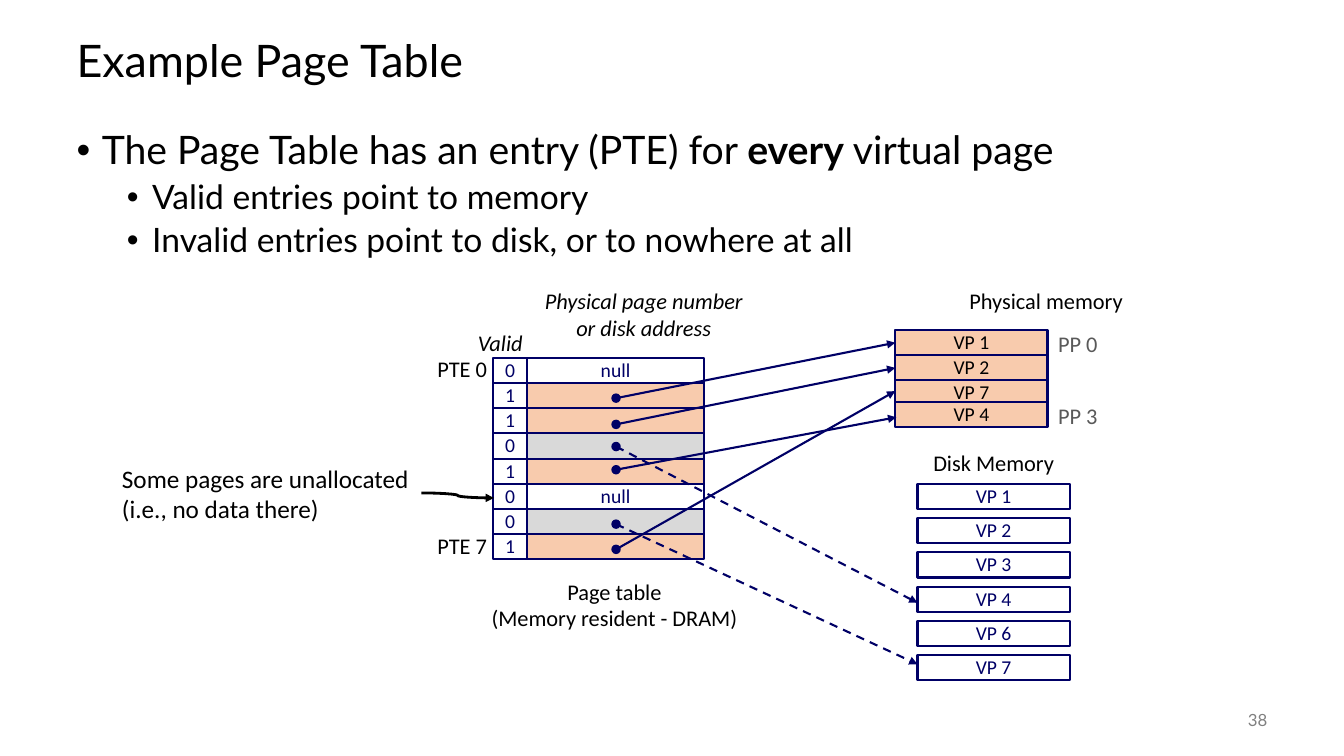
import pptx
import pptx.util
import pptx.dml.color
import pptx.enum.dml
import pptx.enum.shapes
import pptx.enum.text
import pptx.oxml
import pptx.oxml.ns
from dataclasses import dataclass

PX = 9144  # one px is a hundredth of an inch
ALIGN = pptx.enum.text.PP_ALIGN
SHAPE = pptx.enum.shapes.MSO_SHAPE
LINK = pptx.enum.shapes.MSO_CONNECTOR


@dataclass(frozen=True)
class Theme:
    navy: str = "000066"
    black: str = "000000"
    white: str = "FFFFFF"
    peach: str = "F8CBAD"
    silver: str = "D9D9D9"
    dim: str = "595959"
    gray: str = "808080"
    head: str = "Lato"
    text: str = "Calibri"
    title: int = 32
    main: int = 28
    sub: int = 24
    note: int = 18
    label: int = 16
    cell: int = 14
    page: int = 12


THEME = Theme()


def color(code):
    return pptx.dml.color.RGBColor.from_string(code)


def add_xml(parent, tag, **attrs):
    node = pptx.oxml.parse_xml(f"<a:{tag} {pptx.oxml.ns.nsdecls('a')}/>")
    for key, value in attrs.items():
        node.set(key, str(value))
    parent.append(node)


def style(para, size, tint, face, italic=False):
    for run in para.runs:
        run.font.size = pptx.util.Pt(size)
        run.font.name = face
        run.font.color.rgb = color(tint)
        run.font.italic = italic


def setup(frame):
    frame.word_wrap = True
    frame.margin_left = frame.margin_right = 0
    frame.margin_top = frame.margin_bottom = 0
    frame.vertical_anchor = pptx.enum.text.MSO_ANCHOR.MIDDLE


def write(shape, text, size, tint=THEME.black, align=ALIGN.CENTER,
          face=THEME.text, italic=False, space=0.98):
    setup(shape.text_frame)
    para = shape.text_frame.paragraphs[0]
    para.text = text
    para.alignment = align
    para.line_spacing = space
    style(para, size, tint, face, italic)


def label(slide, box, text, size=THEME.label, **look):
    area = slide.shapes.add_textbox(*(n * PX for n in box))
    write(area, text, size, **look)


def block(slide, box, fill, text="", tint=THEME.navy, kind=SHAPE.RECTANGLE, width=1.5):
    shape = slide.shapes.add_shape(kind, *(n * PX for n in box))
    shape.shadow.inherit = False
    shape.fill.solid()
    shape.fill.fore_color.rgb = color(fill)
    shape.line.color.rgb = color(THEME.navy)
    shape.line.width = pptx.util.Pt(width)
    if text:
        write(shape, text, THEME.cell, tint)


def arrow(slide, start, end, dash=False, kind=LINK.STRAIGHT, tint=THEME.navy, width=1.5):
    link = slide.shapes.add_connector(kind, *(n * PX for n in start + end))
    link.line.color.rgb = color(tint)
    link.line.width = pptx.util.Pt(width)
    if dash:
        link.line.dash_style = pptx.enum.dml.MSO_LINE.DASH
    add_xml(link.line._get_or_add_ln(), "tailEnd", type="triangle")
    add_xml(link._element.spPr, "effectLst")


def heading(slide, box):
    label(slide, box, "Example Page Table", THEME.title,
          align=ALIGN.LEFT, face=THEME.head, space=0.9)


def points(slide, box):
    frame = slide.shapes.add_textbox(*(n * PX for n in box)).text_frame
    setup(frame)
    frame.vertical_anchor = pptx.enum.text.MSO_ANCHOR.TOP
    lines = [
        (("The Page Table has an entry (PTE) for ", "every", " virtual page"), 25, THEME.main),
        (("Valid entries point to memory",), 75, THEME.sub),
        (("Invalid entries point to disk, or to nowhere at all",), 75, THEME.sub),
    ]
    for row, (parts, left, size) in enumerate(lines):
        para = frame.add_paragraph() if row else frame.paragraphs[0]
        para.line_spacing = 0.9
        para.space_before = pptx.util.Pt(5 if row else 0)
        props = para._p.get_or_add_pPr()
        props.set("marL", str(left * PX))
        props.set("indent", str(-25 * PX))
        add_xml(props, "buFont", typeface="Arial")
        add_xml(props, "buChar", char="•")
        for part in parts:
            run = para.add_run()
            run.text = part
            run.font.bold = part == "every"
        style(para, size, THEME.black, THEME.head)


def table(slide, box):
    x, y, width, height = box
    flag, pitch = 34, height // 8
    # Valid bit, fill, drop of the pointer dot within its row
    rows = [
        ("0", THEME.white, None), ("1", THEME.peach, 15),
        ("1", THEME.peach, 16), ("0", THEME.silver, 13),
        ("1", THEME.peach, 11), ("0", THEME.white, None),
        ("0", THEME.silver, 15), ("1", THEME.peach, 15),
    ]
    dots = []
    for index, (bit, fill, drop) in enumerate(rows):
        top = y + index * pitch
        block(slide, (x, top, flag, pitch), THEME.white, bit)
        block(slide, (x + flag, top, width - flag, pitch), fill, "" if drop else "null")
        if drop:
            dots.append((x + 122, top + drop))
    for left, top in dots:
        block(slide, (left - 4, top - 4, 8, 8), THEME.navy, kind=SHAPE.OVAL, width=1)
    # Captions around the table
    label(slide, (x - 15, y - 33, 60, 37), "Valid", align=ALIGN.LEFT, italic=True)
    label(slide, (x + 41, y - 74, 217, 63), "Physical page number\vor disk address", italic=True)
    label(slide, (x - 66, y - 7, 60, 37), "PTE 0", align=ALIGN.RIGHT)
    label(slide, (x - 66, y + 169, 60, 37), "PTE 7", align=ALIGN.RIGHT)
    label(slide, (x - 16, y + 214, 273, 63), "Page table\v(Memory resident - DRAM)")
    return dots


def memory(slide, box):
    x, y, width, height = box
    for name, drop in zip((1, 2, 7, 4), (0, 25, 50, 72)):
        block(slide, (x, y + drop, width, height), THEME.peach, f"VP {name}", THEME.black)
    label(slide, (x - 10, y - 46, 319, 37), "Physical memory")
    for name, drop in ((0, -4), (3, 68)):
        label(slide, (x + width, y + drop, 60, 37), f"PP {name}", tint=THEME.dim)


def disk(slide, box):
    x, y, width, height = box
    for row, name in enumerate((1, 2, 3, 4, 6, 7)):
        block(slide, (x, y + row * 34, width, height), THEME.white, f"VP {name}")
    label(slide, (x, y - 39, width, 37), "Disk Memory")


def links(slide, dots):
    ends = [(888, 340), (888, 365), (910, 598), (889, 414), (910, 659), (888, 388)]
    for dot, end in zip(dots, ends):
        arrow(slide, dot, end, dash=end[0] == 910)


def remark(slide, box):
    x, y, width, height = box
    label(slide, box, "Some pages are unallocated (i.e., no data there)",
          THEME.note, align=ALIGN.LEFT, space=1.0)
    arrow(slide, (x + width + 10, y + 35), (x + width + 82, y + 40),
          kind=LINK.CURVE, tint=THEME.black, width=2)


def main():
    deck = pptx.Presentation()
    deck.slide_width, deck.slide_height = 1333 * PX, 750 * PX
    slide = deck.slides.add_slide(deck.slide_layouts[6])
    heading(slide, (76, 25, 1180, 75))
    points(slide, (76, 130, 1180, 140))
    dots = table(slide, (489, 355, 209, 200))
    memory(slide, (888, 327, 151, 25))
    disk(slide, (910, 480, 151, 25))
    links(slide, dots)
    remark(slide, (121, 454, 287, 71))
    # Page number
    label(slide, (1177, 695, 80, 40), "38", THEME.page, tint=THEME.gray,
          align=ALIGN.RIGHT, face=THEME.head)
    deck.save("out.pptx")


if __name__ == "__main__":
    main()
